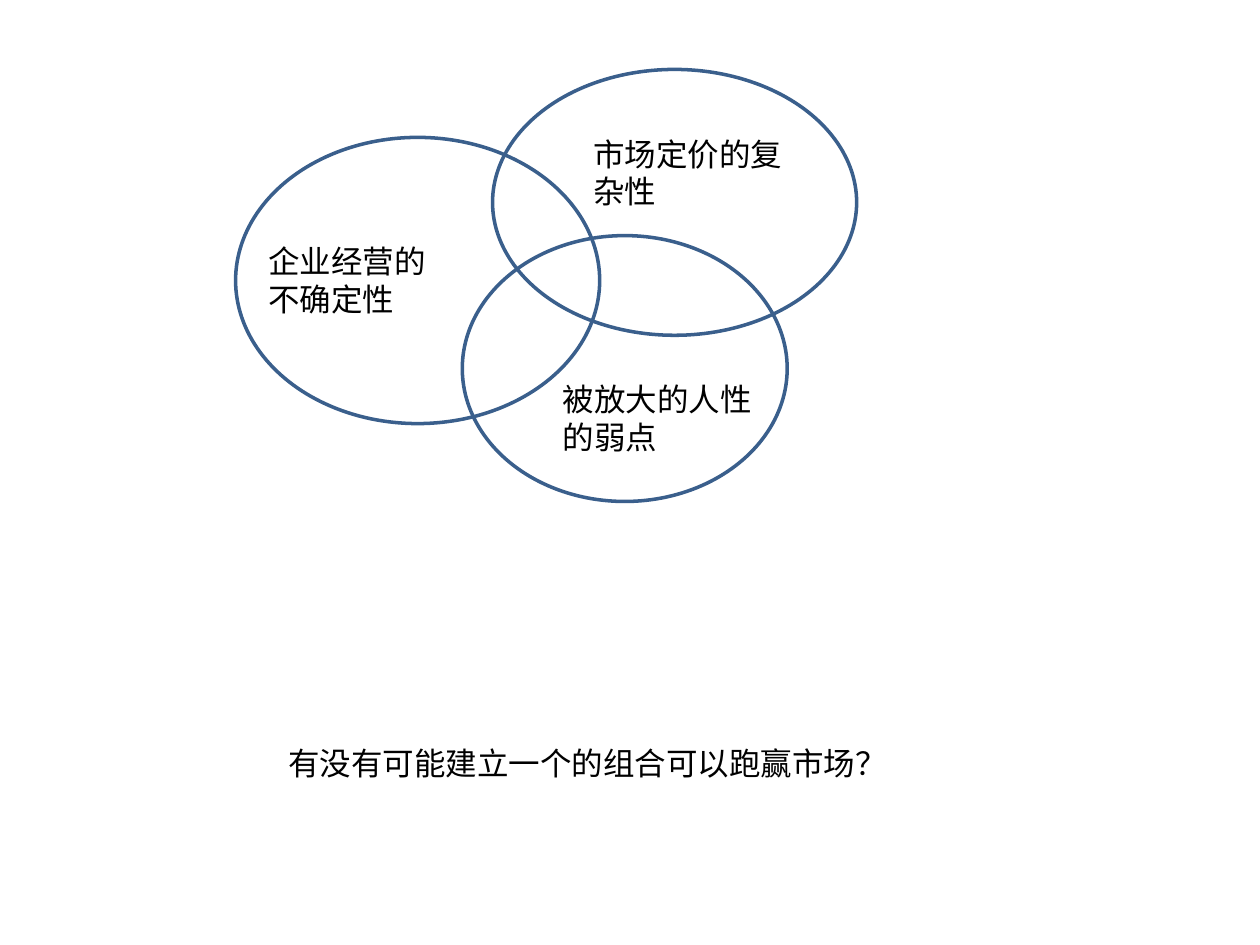
from dataclasses import dataclass

from pptx import Presentation
from pptx.dml.color import RGBColor
from pptx.enum.shapes import MSO_SHAPE
from pptx.enum.text import MSO_AUTO_SIZE
from pptx.shapes.shapetree import GroupShapes
from pptx.util import Cm, Pt


@dataclass(frozen=True)
class Box:
    left: float
    top: float
    width: float
    height: float

    def lengths(self) -> tuple[Cm, Cm, Cm, Cm]:
        return Cm(self.left), Cm(self.top), Cm(self.width), Cm(self.height)


@dataclass(frozen=True)
class Factor:
    wording: str
    circle: Box
    label: Box


FACTORS = [
    Factor("企业经营的不确定性", Box(4.75, 2.77, 7.34, 5.77), Box(5.16, 4.75, 4.17, 1.8)),
    Factor("市场定价的复杂性", Box(9.93, 1.4, 7.34, 5.36), Box(11.71, 2.59, 4.57, 1.8)),
    Factor("被放大的人性的弱点", Box(9.32, 4.75, 6.55, 5.36), Box(11.1, 7.54, 4.57, 1.8)),
]
QUESTION = "有没有可能建立一个的组合可以跑赢市场？"
QUESTION_BOX = Box(5.56, 14.88, 12.7, 1.02)
FONT_FORMAT = {"name": "Calibri", "size": Pt(18)}


def color(hex_value: str) -> RGBColor:
    return RGBColor.from_string(hex_value)


def draw_circle(shapes: GroupShapes, box: Box) -> None:
    circle = shapes.add_shape(MSO_SHAPE.OVAL, *box.lengths())
    circle.shadow.inherit = False
    circle.fill.background()
    circle.line.color.rgb = color("3A5F8C")
    circle.line.width = Pt(2)


def draw_wording(shapes: GroupShapes, wording: str, box: Box, wrap: bool = True) -> None:
    frame = shapes.add_textbox(*box.lengths()).text_frame
    frame.word_wrap = wrap
    frame.auto_size = MSO_AUTO_SIZE.SHAPE_TO_FIT_TEXT
    run = frame.paragraphs[0].add_run()
    run.text = wording
    for attribute, value in FONT_FORMAT.items():
        setattr(run.font, attribute, value)
    run.font.color.rgb = color("000000")


def main() -> None:
    presentation = Presentation()
    presentation.slide_width, presentation.slide_height = Cm(25.4), Cm(19.05)
    slide = presentation.slides.add_slide(presentation.slide_layouts[6])
    draw_wording(slide.shapes, QUESTION, QUESTION_BOX, wrap=False)
    venn = slide.shapes.add_group_shape().shapes
    for factor in FACTORS:
        draw_circle(venn, factor.circle)
    for factor in FACTORS:
        draw_wording(venn, factor.wording, factor.label)
    presentation.save("out.pptx")


if __name__ == "__main__":
    main()
